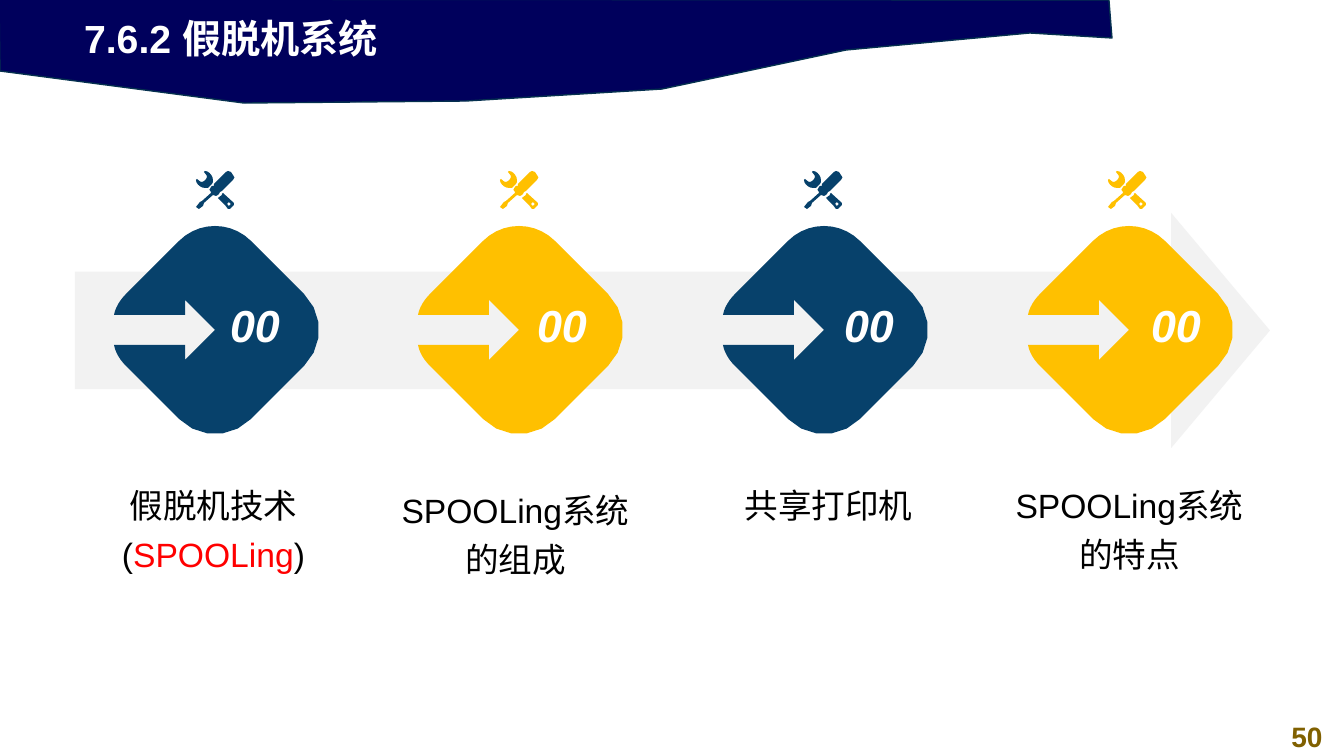
import math

from pptx import Presentation
from pptx.dml.color import RGBColor
from pptx.enum import shapes, text
from pptx.util import Pt

PX = 914400 / 100.8
NAVY, BLUE, GOLD, GREY = "00005C", "07416B", "FFC000", "F2F2F2"
BLACK, WHITE, RED = "000000", "FFFFFF", "FF0000"
LEFT, CENTER = text.PP_ALIGN.LEFT, text.PP_ALIGN.CENTER
TOP, MIDDLE = text.MSO_ANCHOR.TOP, text.MSO_ANCHOR.MIDDLE


def write(sp, box, *runs, size, align=CENTER, anchor=TOP, spacing=1.0,
          bold=False, italic=False):
    """Place sp at box (px) and fill it with (string, colour) runs."""
    sp.left, sp.top, sp.width, sp.height = [round(v * PX) for v in box]
    tf = sp.text_frame
    tf.word_wrap = True
    tf.auto_size = text.MSO_AUTO_SIZE.NONE
    tf.vertical_anchor = anchor
    p = tf.paragraphs[0]
    p.alignment, p.line_spacing = align, spacing
    for string, colour in runs:
        r = p.add_run()
        r.text = string
        r.font.name, r.font.size = "Arial", Pt(size)
        r.font.bold, r.font.italic = bold, italic
        r.font.color.rgb = RGBColor.from_string(colour)


def outline(contours, x, y, fill):
    """Draw contours offset by x, y; pairs are corners, sextuples are Bezier curves."""
    builder = None
    for start, *segments in contours:
        points = [start]
        for seg in segments:
            if len(seg) == 2:
                points.append(seg)
                continue
            (x0, y0), (x1, y1, x2, y2, x3, y3) = points[-1], seg
            steps = min(5, 1 + int(math.hypot(x3 - x0, y3 - y0) / 3))
            for t in (k / steps for k in range(1, steps + 1)):
                a, b, c, d = (1 - t) ** 3, 3 * t * (1 - t) ** 2, 3 * t * t * (1 - t), t ** 3
                points.append((a * x0 + b * x1 + c * x2 + d * x3,
                               a * y0 + b * y1 + c * y2 + d * y3))
        emu = [(round((x + px) * PX), round((y + py) * PX)) for px, py in points]
        if builder is None:
            builder = s.shapes.build_freeform(*emu[0])
        else:
            builder.move_to(*emu[0])
        builder.add_line_segments(emu[1:], close=True)
    sp = builder.convert_to_shape()
    sp.shadow.inherit = False
    sp.fill.solid()
    sp.fill.fore_color.rgb = RGBColor.from_string(fill)
    sp.line.fill.background()
    return sp


HEADER = [[(-1, -1), (0, 71), (244, 103), (466, 101), (662, 89), (846, 50),
           (1030, 33), (1112, 38), (1109, 0)]]

# Rounded diamond around its centre, with an arrow cut in from the left
DIAMOND = [[(0, -104), (13, -104, 26, -99, 36, -89), (89, -36),
            (109, -16, 109, 16, 89, 36), (36, 89), (16, 109, -16, 109, -36, 89),
            (-89, 36), (-94, 31, -98, 25, -100, 19), (-101, 15), (-30, 15),
            (-30, 30), (0, 0), (-30, -30), (-30, -15), (-101, -15), (-100, -19),
            (-98, -25, -94, -31, -89, -36), (-36, -89), (-26, -99, -13, -104, 0, -104)]]

TOOLS = [
    # hole in the handle
    [(33, 31), (31, 33), (33, 35), (35, 33)],
    # wrench handle
    [(27, 22), (38, 32), (38, 34), (34, 38), (32, 38), (29, 34), (22, 27),
     (26, 24), (26, 23)],
    # screwdriver
    [(32, 0), (35, 1), (37, 4), (39, 5, 39, 8, 37, 9), (26, 20), (24, 21), (23, 23),
     (22, 24), (20, 25), (17, 24), (8, 32), (7, 35), (3, 38), (0, 36), (4, 31),
     (6, 30), (15, 22), (15, 21), (13, 20, 13, 18, 15, 16), (16, 15), (18, 15),
     (18, 13), (30, 1)],
    # wrench head
    [(9, 0), (13, 0, 17, 5, 17, 9), (17, 11), (16, 13), (12, 17), (9, 17),
     (5, 17, 0, 13, 0, 9), (1, 8), (5, 11, 4, 11, 6, 11),
     (8, 11, 11, 8, 11, 6), (11, 4, 11, 5, 8, 1)],
]

STEPS = [
    (74, 472, BLUE, [("假脱机技术(", BLACK), ("SPOOLing", RED), (")", BLACK)]),
    (376, 477, GOLD, [("SPOOLing系统的组成", BLACK)]),
    (689, 472, BLUE, [("共享打印机", BLACK)]),
    (990, 472, GOLD, [("SPOOLing系统的特点", BLACK)]),
]

prs = Presentation()
prs.slide_width, prs.slide_height = round(1344 * PX), round(756 * PX)
s = prs.slides.add_slide(prs.slide_layouts[5])

title = s.shapes.title
write(title, (74, 9, 774, 57), ("7.6.2 假脱机系统", WHITE),
      size=28, align=LEFT, anchor=MIDDLE, bold=True)
header = outline(HEADER, 0, 0, NAVY)
header.line.color.rgb = RGBColor.from_string("05304F")
header.line.width = Pt(1)
title._element.addprevious(header._element)

write(s.shapes.add_textbox(0, 0, 0, 0), (1270, 715, 74, 44), ("50", "806000"),
      size=20, bold=True)

band = s.shapes.add_shape(shapes.MSO_SHAPE.RIGHT_ARROW,
                          *[round(v * PX) for v in (75, 213, 1195, 235)])
band.adjustments[0], band.adjustments[1] = 0.5, 0.42
band.shadow.inherit = False
band.fill.solid()
band.fill.fore_color.rgb = RGBColor.from_string(GREY)
band.line.fill.background()

for i, (left, top, colour, caption) in enumerate(STEPS):
    outline(DIAMOND, 215 + i * 914 // 3, 330, colour)
    outline(TOOLS, 196 + i * 304, 171, colour)
    write(s.shapes.add_textbox(0, 0, 0, 0), (216 + i * 307, 287, 78, 75), ("00", WHITE),
          size=32, anchor=MIDDLE, bold=True, italic=True)
    write(s.shapes.add_textbox(0, 0, 0, 0), (left, top, 279, 161), *caption,
          size=24, spacing=1.2)

prs.save("out.pptx")
